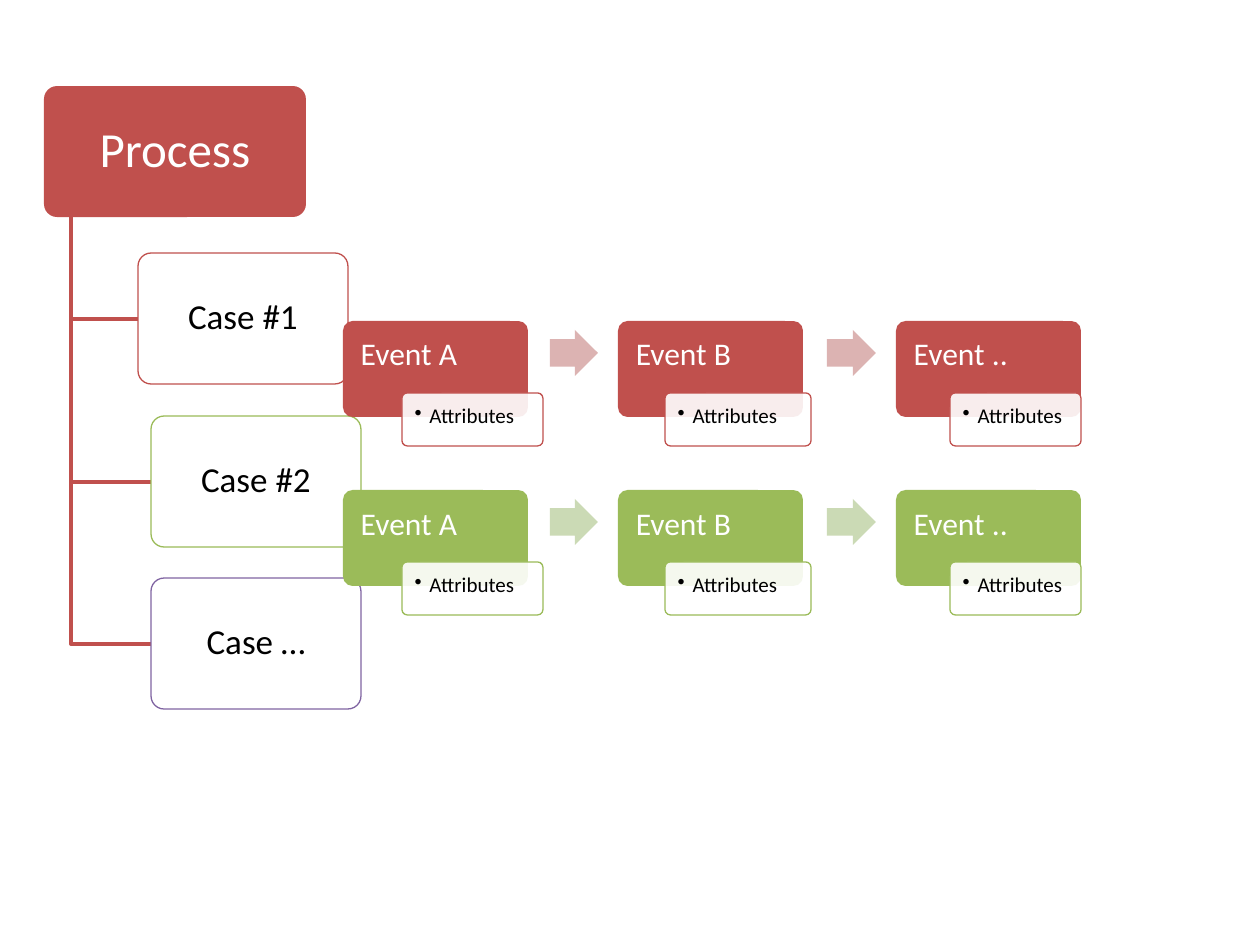
from dataclasses import dataclass

from lxml.etree import SubElement
from pptx import Presentation
from pptx.dml.color import RGBColor
from pptx.enum.shapes import MSO_SHAPE
from pptx.enum.text import MSO_ANCHOR, PP_ALIGN
from pptx.oxml.ns import qn
from pptx.util import Emu, Pt

SCALE = 914400 / 126  # EMU per px


def px(count):
    return Emu(round(count * SCALE))


@dataclass(frozen=True)
class Theme:
    font: str = "Calibri"
    white: str = "FFFFFF"
    black: str = "000000"
    red: str = "C0504D"
    green: str = "9BBB59"
    purple: str = "8064A2"
    pink: str = "DCB3B2"
    sage: str = "CBDAB5"
    root: int = 28
    case: int = 20
    event: int = 18
    note: int = 12
    thin: float = 0.75
    thick: float = 2


class Board:
    def __init__(self, slide, theme):
        self.slide = slide
        self.theme = theme

    def shape(self, kind, place, fill, line=None):
        item = self.slide.shapes.add_shape(kind, *map(px, place))
        item.shadow.inherit = False
        item.fill.solid()
        item.fill.fore_color.rgb = RGBColor.from_string(fill)
        if line:
            item.line.color.rgb = RGBColor.from_string(line)
            item.line.width = Pt(self.theme.thin)
        else:
            item.line.fill.background()
        return item

    def box(self, place, fill, line=None):
        item = self.shape(MSO_SHAPE.ROUNDED_RECTANGLE, place, fill, line)
        item.adjustments[0] = 0.1
        return item

    def glass(self, place, line):
        """A white box at 90% opacity."""
        item = self.box(place, self.theme.white, line)
        tint = item.element.spPr.find(qn("a:solidFill")).find(qn("a:srgbClr"))
        SubElement(tint, qn("a:alpha")).set("val", "90000")
        return item

    def label(self, item, text, size, color, inset, centre=True):
        frame = item.text_frame
        frame.margin_left = frame.margin_right = px(inset)
        frame.margin_top = frame.margin_bottom = px(inset)
        frame.vertical_anchor = MSO_ANCHOR.MIDDLE if centre else MSO_ANCHOR.TOP
        para = frame.paragraphs[0]
        para.text = text
        para.alignment = PP_ALIGN.CENTER if centre else PP_ALIGN.LEFT
        para.line_spacing = 0.9
        para.font.name = self.theme.font
        para.font.size = Pt(size)
        para.font.color.rgb = RGBColor.from_string(color)
        return para

    def elbow(self, start, end):
        path = self.slide.shapes.build_freeform(*start, scale=SCALE)
        path.add_line_segments([(start[0], end[1]), end], close=False)
        item = path.convert_to_shape()
        item.shadow.inherit = False
        item.fill.background()
        item.line.color.rgb = RGBColor.from_string(self.theme.red)
        item.line.width = Pt(self.theme.thick)

    def root(self, place, text):
        item = self.box(place, self.theme.red)
        self.label(item, text, self.theme.root, self.theme.white, 5)

    def case(self, place, text, line):
        item = self.glass(place, line)
        self.label(item, text, self.theme.case, self.theme.black, 4)

    def event(self, place, text, fill):
        item = self.box(place, fill)
        self.label(item, text, self.theme.event, self.theme.white, 15, False)

    def note(self, place, text, line):
        item = self.glass(place, line)
        para = self.label(item, text, self.theme.note, self.theme.black, 11, False)
        para.level = 1
        props = para._p.get_or_add_pPr()
        props.set("marL", str(px(15)))
        props.set("indent", str(px(-15)))
        SubElement(props, qn("a:buChar")).set("char", "•")

    def arrow(self, place, fill):
        item = self.shape(MSO_SHAPE.RIGHT_ARROW, place, fill)
        item.adjustments[0] = 0.6
        item.adjustments[1] = 0.5


def main():
    deck = Presentation()
    deck.slide_width, deck.slide_height = px(1260), px(945)
    theme = Theme()
    board = Board(deck.slides.add_slide(deck.slide_layouts[6]), theme)

    # Process tree
    board.root((44, 86, 262, 131), "Process")
    cases = [
        ("Case #1", 138, 253, theme.red),
        ("Case #2", 151, 416, theme.green),
        ("Case …", 151, 578, theme.purple),
    ]
    for text, left, top, line in cases:
        board.elbow((71, 217), (left, top + 66))
        board.case((left, top, 210, 131), text, line)

    # Event chains: event left, note left and width, arrow left and width
    chain = [
        ("Event A", 343, (402, 141), (550, 48)),
        ("Event B", 618, (665, 146), (827, 49)),
        ("Event ..", 896, (950, 131), None),
    ]
    rows = [(321, theme.red, theme.pink), (490, theme.green, theme.sage)]
    for top, fill, pale in rows:
        for text, left, note, arrow in chain:
            board.event((left, top, 185, 96), text, fill)
            board.note((note[0], top + 72, note[1], 53), "Attributes", fill)
            if arrow:
                board.arrow((arrow[0], top + 9, arrow[1], 46), pale)

    deck.save("out.pptx")


if __name__ == "__main__":
    main()
